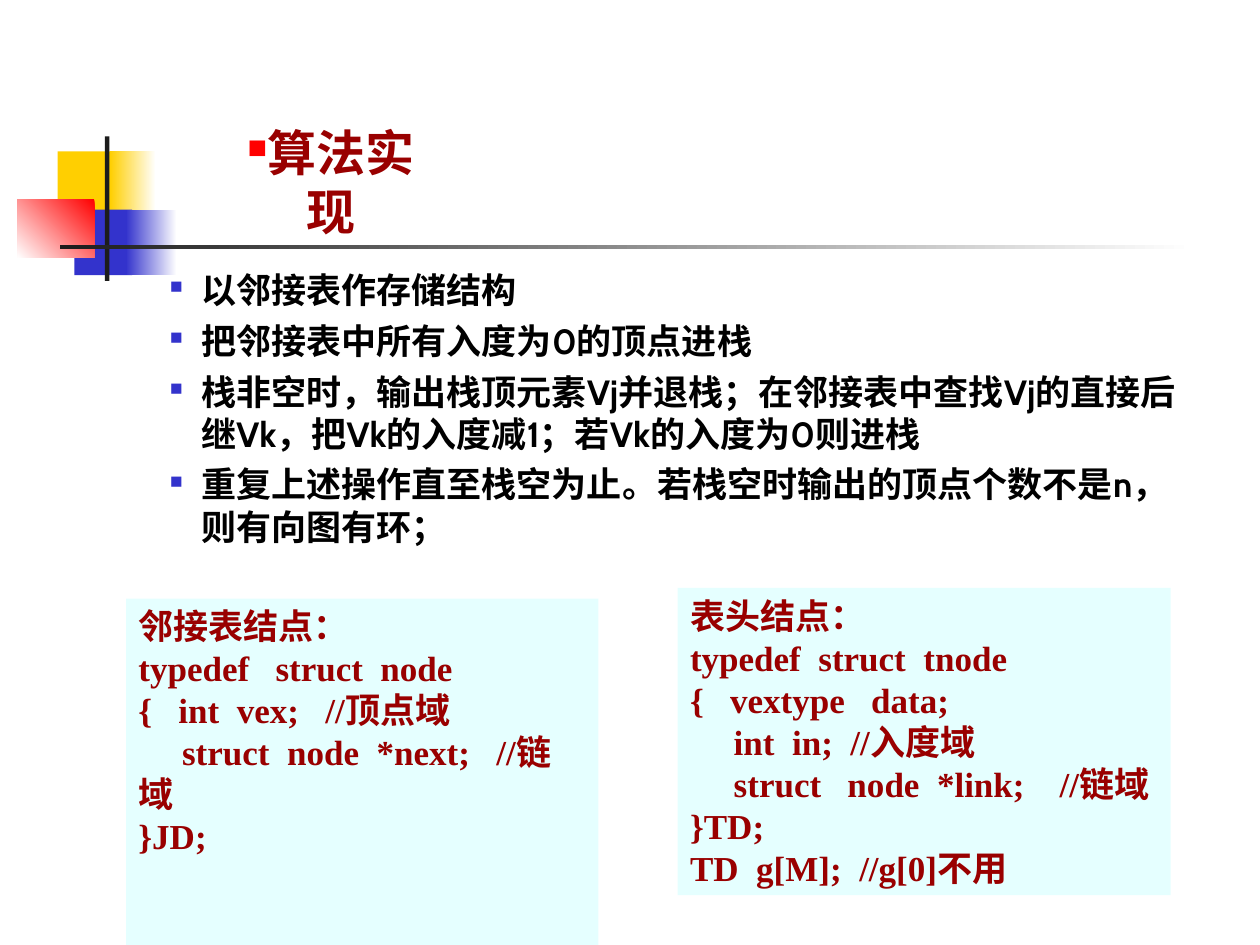
from dataclasses import dataclass
from lxml.etree import SubElement
from pptx import Presentation
from pptx.dml.color import RGBColor
from pptx.enum.shapes import MSO_SHAPE
from pptx.enum.text import MSO_ANCHOR, MSO_AUTO_SIZE, PP_ALIGN
from pptx.oxml.ns import qn
from pptx.util import Pt


@dataclass(frozen=True)
class Theme:
    head: str = "Cabin"
    code: str = "Times New Roman"
    big: int = 28
    small: int = 20
    gold: str = "FFCF01"
    blue: str = "3333CC"
    red: str = "FF0000"
    dark: str = "1C1C1C"
    wine: str = "990000"
    black: str = "000000"
    white: str = "FFFFFF"
    pale: str = "CCFFFF"


class Deck:
    def __init__(self, theme):
        self.theme = theme
        self.file = Presentation()
        self.file.slide_width, self.file.slide_height = Pt(720), Pt(540)
        self.slide = self.file.slides.add_slide(self.file.slide_layouts[5])

    def place(self, shape, box):
        shape.left, shape.top, shape.width, shape.height = map(Pt, box)

    def rect(self, box, fill, end=None, angle=180):
        """Draw a plain block, or a gradient from fill to end."""
        shape = self.slide.shapes.add_shape(MSO_SHAPE.RECTANGLE, *map(Pt, box))
        shape.shadow.inherit = False
        shape.line.fill.background()
        if end:
            shape.fill.gradient()
            shape.fill.gradient_angle = angle
            for stop, color in zip(shape.fill.gradient_stops, (fill, end)):
                stop.color.rgb = RGBColor.from_string(color)
        else:
            shape.fill.solid()
            shape.fill.fore_color.rgb = RGBColor.from_string(fill)
        return shape

    def label(self, shape, text, font, size, color, wrap=True,
              align=PP_ALIGN.LEFT, gap=0):
        frame = shape.text_frame
        frame.text = text
        frame.word_wrap = wrap
        frame.auto_size = MSO_AUTO_SIZE.NONE
        frame.vertical_anchor = MSO_ANCHOR.TOP
        for i, para in enumerate(frame.paragraphs):
            para.alignment = align
            para.space_before = Pt(gap if i else 0)
            for run in para.runs:
                run.font.name = font
                run.font.size = Pt(size)
                run.font.bold = True
                run.font.color.rgb = RGBColor.from_string(color)

    def bullet(self, shape, color, scale, left, hang):
        for para in shape.text_frame.paragraphs:
            props = para._p.get_or_add_pPr()
            props.set("marL", str(Pt(left)))
            props.set("indent", str(Pt(hang)))
            tint = SubElement(props, qn("a:buClr"))
            SubElement(tint, qn("a:srgbClr"), val=color)
            SubElement(props, qn("a:buSzPct"), val=str(scale * 1000))
            SubElement(props, qn("a:buChar"), char="■")

    def title(self, box, text):
        t = self.theme
        shape = self.slide.shapes.title
        self.place(shape, box)
        self.label(shape, text, t.head, t.big, t.wine, False, PP_ALIGN.CENTER)
        self.bullet(shape, t.red, 55, 36, 0)

    def points(self, box, lines):
        t = self.theme
        shape = self.slide.shapes.add_textbox(*map(Pt, box))
        self.label(shape, "\n".join(lines), t.head, t.small, t.black, gap=5)
        self.bullet(shape, t.blue, 50, 90, -18)

    def code(self, box, text, wrap=True):
        t = self.theme
        shape = self.rect(box, t.pale)
        color = shape.fill._xPr.find(qn("a:solidFill"))[0]
        SubElement(color, qn("a:alpha"), val="50000")
        self.label(shape, text, t.code, t.small, t.wine, wrap)


NODE = """邻接表结点：
typedef   struct  node
{   int  vex;   //顶点域
     struct  node  *next;   //链域
}JD;"""

HEAD = """表头结点：
typedef  struct  tnode
{   vextype   data;
     int  in;  //入度域
     struct   node  *link;    //链域
}TD;
TD  g[M];  //g[0]不用"""

POINTS = [
    "以邻接表作存储结构",
    "把邻接表中所有入度为0的顶点进栈",
    "栈非空时，输出栈顶元素Vj并退栈；在邻接表中查找Vj的直接后继Vk，把Vk的入度减1；若Vk的入度为0则进栈",
    "重复上述操作直至栈空为止。若栈空时输出的顶点个数不是n，则有向图有环；",
]


def main():
    t = Theme()
    deck = Deck(t)

    # Corner ornament: fading squares and crossing bars
    deck.rect((33, 86.5, 34.5, 37.5), t.gold)
    deck.rect((63, 86.5, 26, 37.5), t.white, t.gold)
    deck.rect((42.5, 119.75, 33, 37.5), t.blue)
    deck.rect((72, 119.75, 29, 37.5), t.white, t.blue)
    deck.rect((10, 113.75, 44, 33.5), t.red, t.white, 225)
    deck.rect((60, 78, 2.5, 82.5), t.dark)
    deck.rect((34.5, 140, 648, 2.5), t.white, t.dark)

    # Title and steps
    deck.title((84.25, 66.25, 173.5, 41), "算法实现")
    deck.points((18, 150, 669.5, 167.5), POINTS)

    # Node type definitions
    deck.code((72, 342, 270, 198), NODE)
    deck.code((387.25, 336, 281.75, 175.5), HEAD, wrap=False)

    deck.file.save("out.pptx")


if __name__ == "__main__":
    main()
